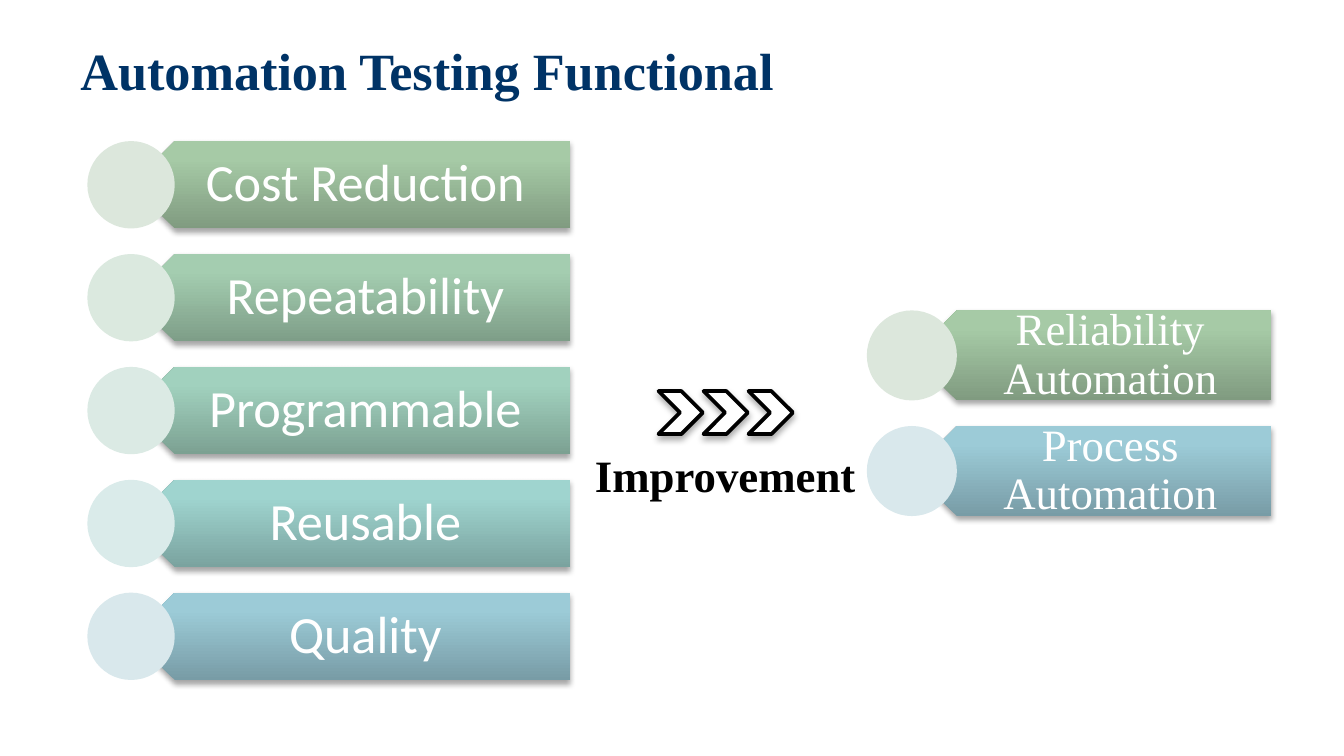
from copy import deepcopy
from lxml.etree import SubElement
from pptx import Presentation
from pptx.dml.color import RGBColor as RGB
from pptx.enum.shapes import MSO_SHAPE as Shape
from pptx.enum.text import MSO_ANCHOR as Anchor, PP_ALIGN as Align
from pptx.oxml.ns import qn
from pptx.util import Inches, Pt

WIDTH = 10
HEIGHT = WIDTH * 9 / 16
SERIF = "Times New Roman"
COLORS = {"navy": "003366", "white": "FFFFFF", "black": "000000"}
# dot fill, then bar gradient from bottom to top
TONES = {
    "green": ("DCE7DC", "809B80", "A6CAA6", "A7CBA7"),
    "mint": ("DBE9DF", "7E9E88", "A4CDB0", "A4CFB1"),
    "jade": ("DBEAE4", "7CA192", "A1D1BE", "A1D2BF"),
    "teal": ("DAEBEA", "7AA39F", "9FD4CF", "9ED6D1"),
    "blue": ("D9E8EC", "789CA6", "9CCBD7", "9CCCD9"),
}
STOPS = (0, 0.8, 1)
LISTS = [
    {
        "items": [("Cost Reduction", "green"), ("Repeatability", "mint"),
                  ("Programmable", "jade"), ("Reusable", "teal"),
                  ("Quality", "blue")],
        "left": 0.65, "top": 1.05, "right": 4.24, "size": 0.65, "step": 0.84,
        "font": {"name": "Calibri", "size": Pt(28)},
        "pads": (0.28, 0.12, 0.22, 0.12),
    },
    {
        "items": [("Reliability Automation", "green"),
                  ("Process Automation", "blue")],
        "left": 6.45, "top": 2.31, "right": 9.46, "size": 0.67, "step": 0.86,
        "font": {"name": SERIF, "size": Pt(24)},
        "pads": (0.3, 0.1, 0.19, 0.1),
    },
]
ARROWS = {"count": 3, "left": 4.9, "top": 2.91, "step": 0.335}


def set_all(obj, values):
    for name, value in values.items():
        setattr(obj, name, value)


def add_text(slide, text, box, font, color, pads=(0.1, 0.05, 0.1, 0.05),
             anchor=Anchor.MIDDLE, **para):
    frame = slide.shapes.add_textbox(*map(Inches, box)).text_frame
    sides = ("margin_left", "margin_top", "margin_right", "margin_bottom")
    set_all(frame, dict(zip(sides, map(Inches, pads))))
    set_all(frame, {"word_wrap": True, "vertical_anchor": anchor})
    line = frame.paragraphs[0]
    set_all(line, para)
    run = line.add_run()
    run.text = text
    set_all(run.font, font)
    run.font.color.rgb = RGB.from_string(COLORS[color])


def add_shape(slide, kind, box, fill=None):
    shape = slide.shapes.add_shape(kind, *map(Inches, box))
    shape.shadow.inherit = False
    shape.line.fill.background()
    if fill:
        shape.fill.solid()
        shape.fill.fore_color.rgb = RGB.from_string(fill)
    return shape


def add_shadow(shape, alpha, blur, dist):
    """Drop a soft black shadow straight down."""
    effects = shape._element.spPr.find(qn("a:effectLst"))
    outer = SubElement(effects, qn("a:outerShdw"), blurRad=str(Pt(blur)),
                       dist=str(Pt(dist)), dir="5400000", rotWithShape="0")
    color = SubElement(outer, qn("a:srgbClr"), val=COLORS["black"])
    SubElement(color, qn("a:alpha"), val=str(alpha * 1000))


def shade(shape, tones):
    """Fill with a three-stop gradient; it turns with the rotated bar."""
    shape.fill.gradient()
    stops = shape._element.spPr.find(qn("a:gradFill")).find(qn("a:gsLst"))
    stops.append(deepcopy(stops[-1]))
    for stop, place, tone in zip(shape.fill.gradient_stops, STOPS, tones):
        stop.position = place
        stop.color.rgb = RGB.from_string(tone)
    shape.fill.gradient_angle = 270


def add_list(slide, spec):
    left, right, size = spec["left"], spec["right"], spec["size"]
    for row, (text, tone) in enumerate(spec["items"]):
        top = spec["top"] + row * spec["step"]
        dot, *tones = TONES[tone]
        start = left + size / 2
        bar = add_shape(slide, Shape.PENTAGON, (start, top, right - start, size))
        bar.rotation = 180
        shade(bar, tones)
        add_shadow(bar, 35, 3.1, 1.8)
        start = left + size * 0.75
        add_text(slide, text, (start, top, right - start, size), spec["font"],
                 "white", spec["pads"], alignment=Align.CENTER, line_spacing=0.9)
        add_shape(slide, Shape.OVAL, (left, top, size, size), dot)


def add_arrows(slide):
    for i in range(ARROWS["count"]):
        left = ARROWS["left"] + i * ARROWS["step"]
        arrow = add_shape(slide, Shape.CHEVRON,
                          (left, ARROWS["top"], 0.33, 0.32), COLORS["white"])
        arrow.line.color.rgb = RGB.from_string(COLORS["black"])
        arrow.line.width = Pt(2)
        add_shadow(arrow, 32, 3.5, 2.2)


def main():
    deck = Presentation()
    set_all(deck, {"slide_width": Inches(WIDTH), "slide_height": Inches(HEIGHT)})
    slide = deck.slides.add_slide(deck.slide_layouts[6])
    add_text(slide, "Automation Testing Functional", (0.5, 0.1, 9, 0.83),
             {"name": SERIF, "size": Pt(28), "bold": True}, "navy")
    for spec in LISTS:
        add_list(slide, spec)
    add_arrows(slide)
    add_text(slide, "Improvement", (4.12, 3.28, 2.55, 0.5),
             {"name": SERIF, "size": Pt(24), "bold": True}, "black",
             anchor=Anchor.TOP, alignment=Align.CENTER)
    deck.save("out.pptx")


if __name__ == "__main__":
    main()
